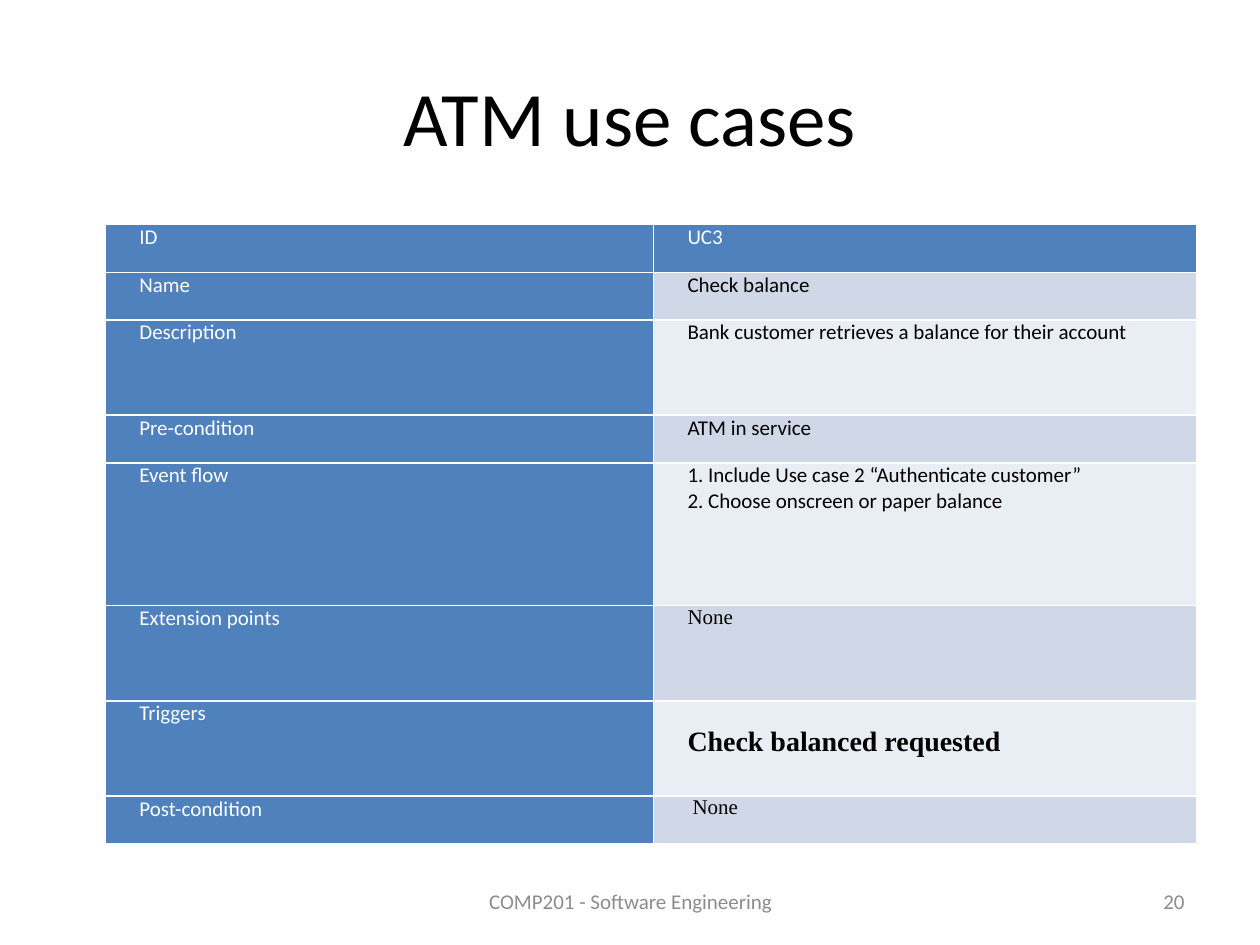
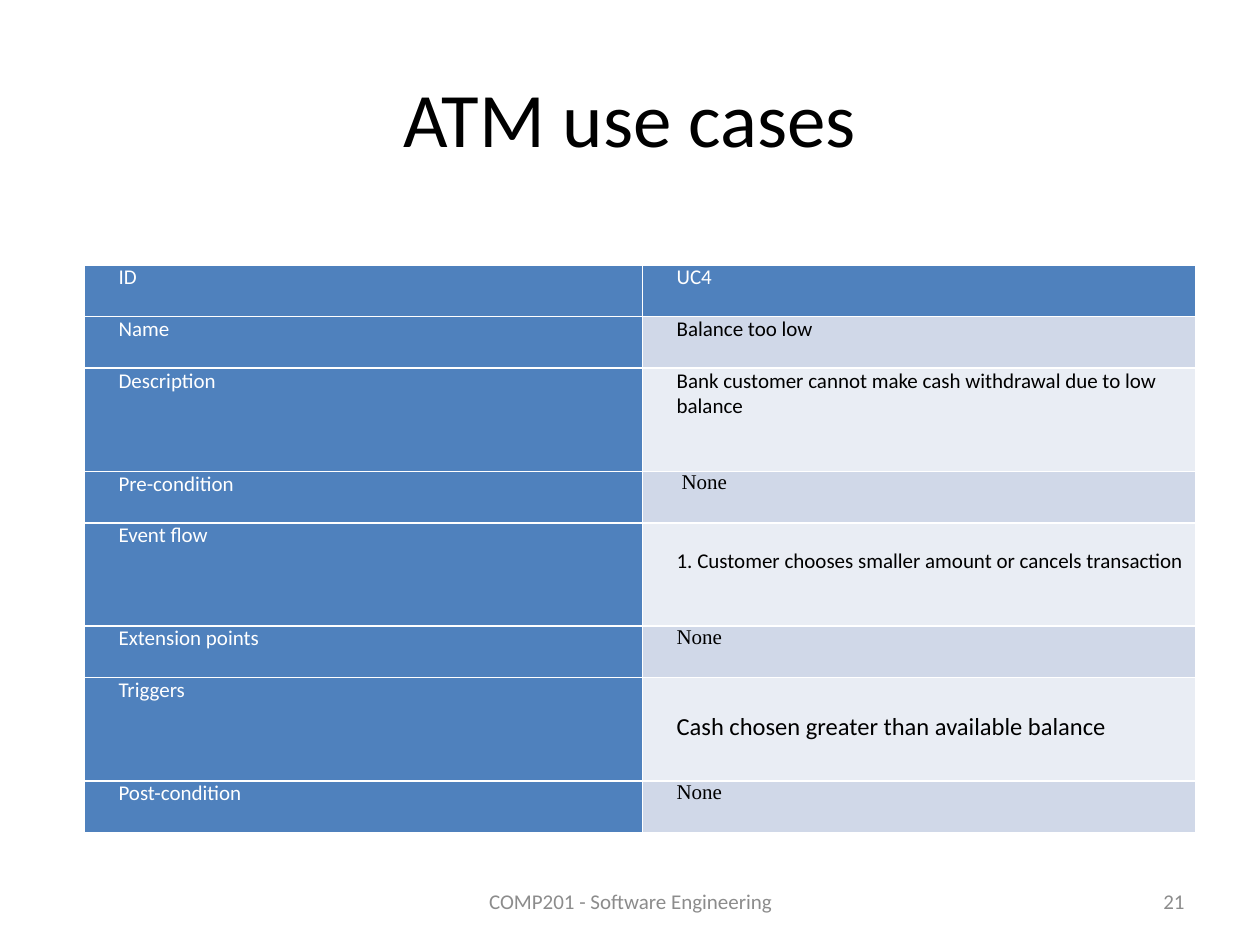
import lxml.etree
import pptx
import pptx.dml.color
import pptx.enum.text
import pptx.oxml.ns
import pptx.util

Cm = pptx.util.Cm
Pt = pptx.util.Pt
ALIGN = pptx.enum.text.PP_ALIGN
MIDDLE = pptx.enum.text.MSO_ANCHOR.MIDDLE
SANS = "Calibri"
SERIF = "Times New Roman"
BLACK, WHITE, GREY = "000000", "FFFFFF", "8C8C8C"
HEAD, DARK, LIGHT = "4F81BD", "D0D8E8", "E9EDF4"
INDENT = 0.51


def color(code):
    return pptx.dml.color.RGBColor.from_string(code)


class Deck:
    def __init__(self):
        self.prs = pptx.Presentation()
        self.prs.slide_width = Cm(25.4)
        self.prs.slide_height = Cm(19.05)
        self.slide = None

    def format(self, frame, size, code, font=SANS, bold=False, align=None):
        for para in frame.paragraphs:
            para.alignment = align
            for run in para.runs:
                run.font.size = Pt(size)
                run.font.name = font
                run.font.bold = bold
                run.font.color.rgb = color(code)

    def start(self, title, top):
        self.slide = self.prs.slides.add_slide(self.prs.slide_layouts[5])
        box = self.slide.shapes.title
        box.left, box.top, box.width, box.height = Cm(1.27), Cm(top), Cm(22.86), Cm(3.18)
        box.text_frame.text = title
        box.text_frame.vertical_anchor = MIDDLE
        self.format(box.text_frame, 44, BLACK, align=ALIGN.CENTER)

    def note(self, text, left, width, align):
        box = self.slide.shapes.add_textbox(Cm(left), Cm(17.65), Cm(width), Cm(1.02))
        frame = box.text_frame
        frame.word_wrap = True
        frame.vertical_anchor = MIDDLE
        frame.text = text
        self.format(frame, 12, GREY, align=align)

    def footer(self, number):
        self.note("COMP201 - Software Engineering", 8.69, 8.05, ALIGN.CENTER)
        self.note(str(number), 18.21, 5.92, ALIGN.RIGHT)

    def border(self, cell):
        props = cell._tc.get_or_add_tcPr()
        for side in ("lnL", "lnR", "lnT", "lnB"):
            line = lxml.etree.SubElement(props, pptx.oxml.ns.qn("a:" + side), w=str(Pt(1)))
            fill = lxml.etree.SubElement(line, pptx.oxml.ns.qn("a:solidFill"))
            lxml.etree.SubElement(fill, pptx.oxml.ns.qn("a:srgbClr"), val=WHITE)

    def cell(self, cell, fill, code, text, size=12, font=SANS, bold=False, drop=0, shift=0):
        self.border(cell)
        cell.fill.solid()
        cell.fill.fore_color.rgb = color(fill)
        cell.margin_left = cell.margin_right = Cm(0.18)
        cell.margin_top, cell.margin_bottom = Cm(drop), 0
        cell.text_frame.text = text
        self.format(cell.text_frame, size, code, font, bold)
        for para in cell.text_frame.paragraphs:
            props = para._p.get_or_add_pPr()
            props.set("marL", str(Cm(INDENT + shift)))
            props.set("indent", "0")

    def table(self, left, top, widths, unit, rows):
        height = unit * sum(row[0] for row in rows)
        frame = self.slide.shapes.add_table(
            len(rows), 2, Cm(left), Cm(top), Cm(sum(widths)), Cm(height))
        table = frame.table
        table.first_row = table.horz_banding = False
        for col, width in zip(table.columns, widths):
            col.width = Cm(width)
        for i, (span, label, text, style) in enumerate(rows):
            table.rows[i].height = Cm(unit * span)
            self.cell(table.cell(i, 0), HEAD, WHITE, label)
            fill = HEAD if i == 0 else DARK if i % 2 else LIGHT
            code = WHITE if i == 0 else BLACK
            self.cell(table.cell(i, 1), fill, code, text, **style)


LABELS = ("ID", "Name", "Description", "Pre-condition", "Event flow",
          "Extension points", "Triggers", "Post-condition")
PLAIN = {}
NONE = ("None", {"font": SERIF})
NONE_IN = ("None", {"font": SERIF, "shift": 0.1})

BALANCE = (
    ("UC3", PLAIN),
    ("Check balance", PLAIN),
    ("Bank customer retrieves a balance for their account", PLAIN),
    ("ATM in service", PLAIN),
    ("1. Include Use case 2 “Authenticate customer”\n"
     "2. Choose onscreen or paper balance", PLAIN),
    NONE,
    ("Check balanced requested", {"size": 16, "font": SERIF, "bold": True, "drop": 0.51}),
    NONE_IN,
)
TOO_LOW = (
    ("UC4", PLAIN),
    ("Balance too low", PLAIN),
    ("Bank customer cannot make cash withdrawal due to low balance", PLAIN),
    NONE_IN,
    ("1. Customer chooses smaller amount or cancels transaction", {"drop": 0.51}),
    NONE,
    ("Cash chosen greater than available balance", {"size": 14, "drop": 0.69}),
    NONE,
)
CASES = (
    (20, 0.74, 2.12, 4.53, (11.05, 10.95), 0.96, (1, 1, 2, 1, 3, 2, 2, 1), BALANCE),
    (21, 0.76, 1.7, 5.34, (11.25, 11.15), 1.04, (1, 1, 2, 1, 2, 1, 2, 1), TOO_LOW),
)


def main():
    deck = Deck()
    for number, head, left, top, widths, unit, spans, texts in CASES:
        deck.start("ATM use cases", head)
        rows = [(span, label, *text) for span, label, text in zip(spans, LABELS, texts)]
        deck.table(left, top, widths, unit, rows)
        deck.footer(number)
    deck.prs.save("out.pptx")


if __name__ == "__main__":
    main()
